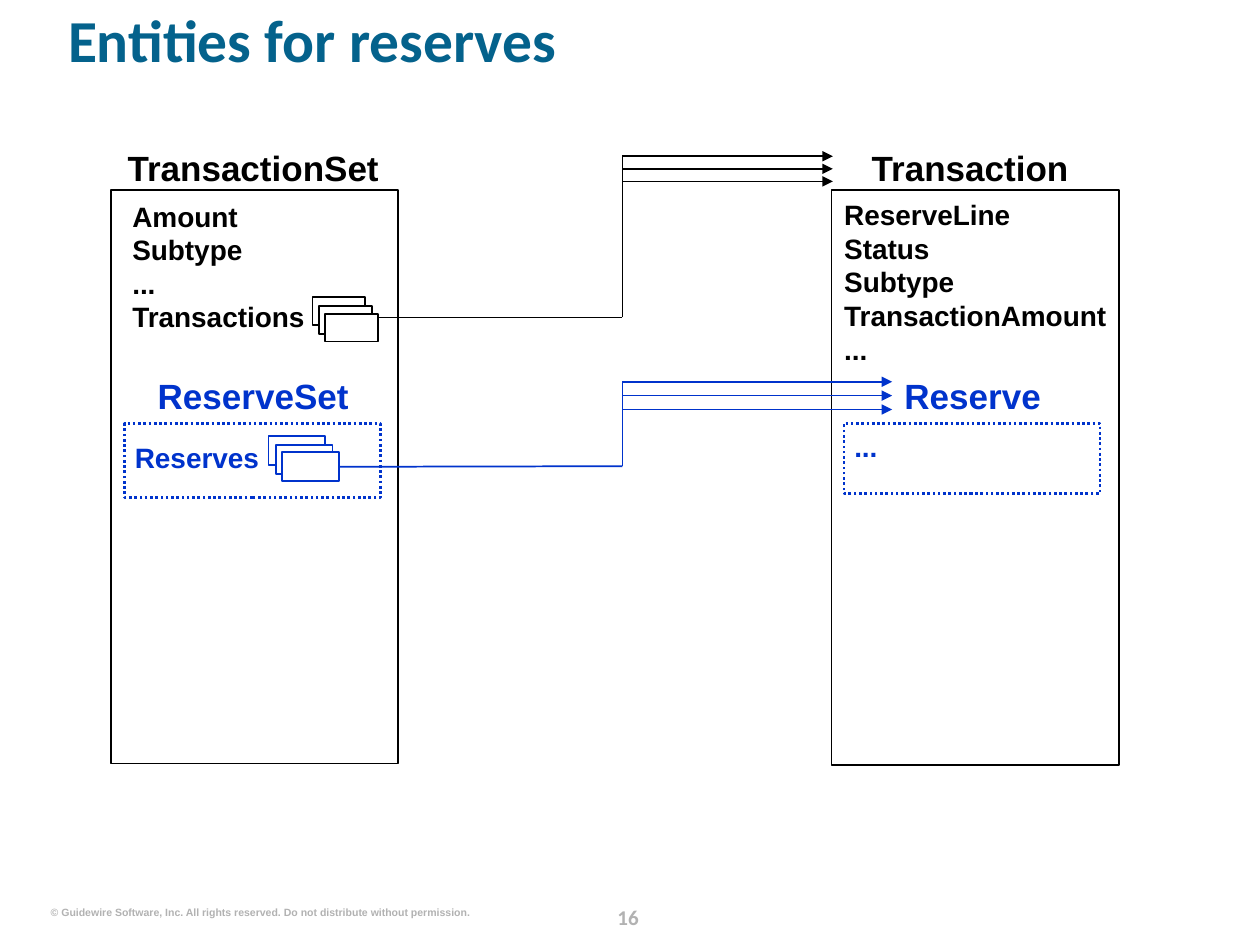
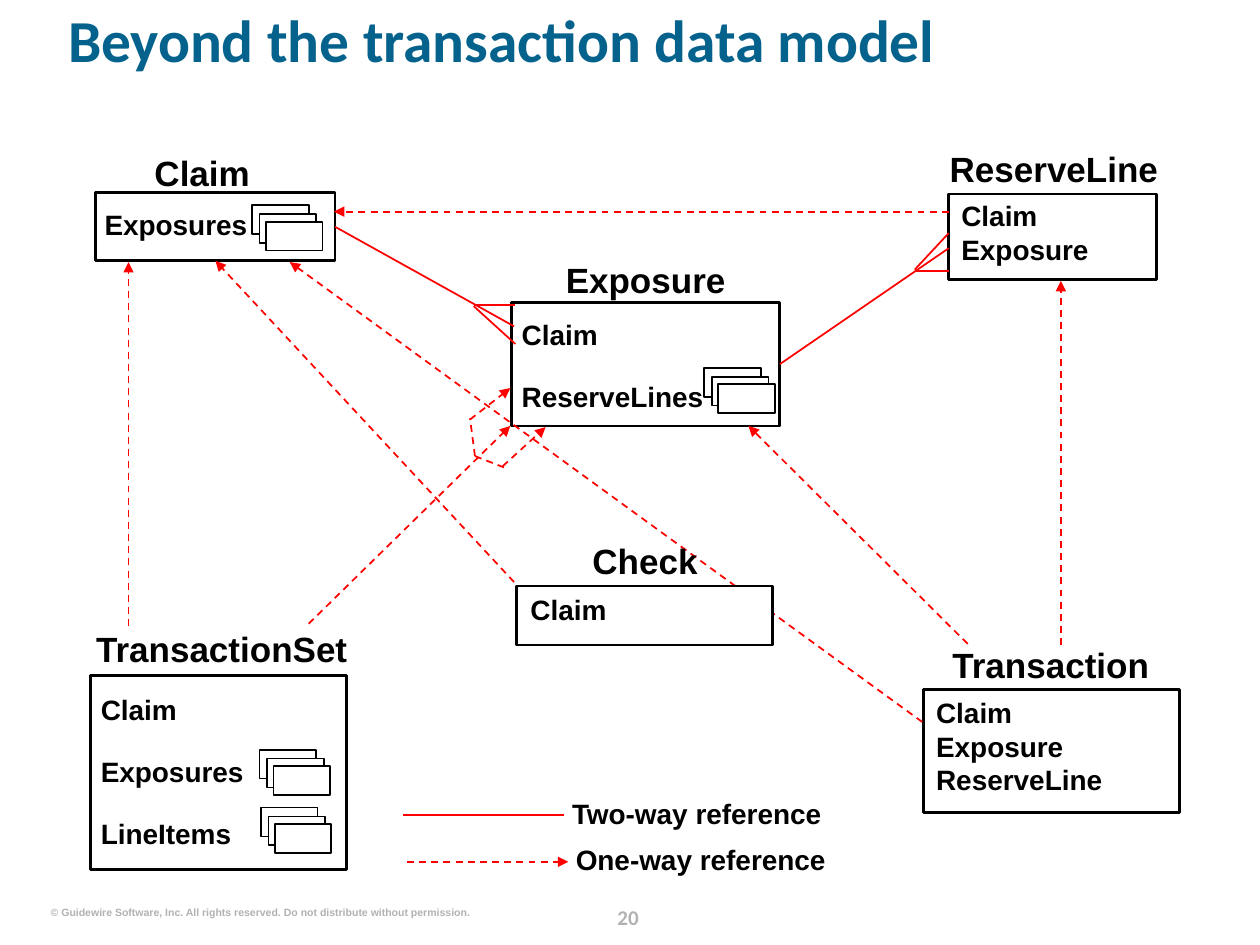
from lxml.etree import SubElement
from pptx import Presentation
from pptx.dml.color import RGBColor
from pptx.enum.dml import MSO_LINE as Dash
from pptx.enum.shapes import MSO_CONNECTOR as Link, MSO_SHAPE as Form
from pptx.enum.text import PP_ALIGN as Align
from pptx.oxml.ns import qn
from pptx.util import Pt

BLACK = RGBColor(0x00, 0x00, 0x00)
WHITE = RGBColor(0xFF, 0xFF, 0xFF)
BLUE = RGBColor(0x00, 0x33, 0xCC)
RED = RGBColor(0xFF, 0x00, 0x00)
TEAL = RGBColor(0x04, 0x62, 0x8C)
GRAY = RGBColor(0xB2, 0xB2, 0xB2)
SCALE = 9144
RIGHTS = ("© Guidewire Software, Inc. All rights reserved. "
          "Do not distribute without permission.")


def px(*sizes):
    """Turn px lengths into EMU."""
    return [size * SCALE for size in sizes]


def write(slide, box, paras, size, color=BLACK, face="Arial",
          align=Align.LEFT, wrap=True, lead=None):
    """Put bold paragraphs in a box without margins."""
    frame = slide.shapes.add_textbox(*px(*box)).text_frame
    frame.word_wrap = wrap
    frame.margin_left = frame.margin_top = 0
    frame.margin_right = frame.margin_bottom = 0
    for i, words in enumerate(paras):
        para = frame.add_paragraph() if i else frame.paragraphs[0]
        para.text = words
        para.alignment = align
        if i:
            para.space_before = Pt(16)
        if lead:
            para.line_spacing = lead
        font = para.font
        font.name, font.size, font.bold = face, Pt(size), True
        font.color.rgb = color


def block(slide, box, color=BLACK, width=1.0, fill=None, dash=None):
    """Draw an outlined rectangle."""
    rect = slide.shapes.add_shape(Form.RECTANGLE, *px(*box))
    rect.shadow.inherit = False
    if fill is None:
        rect.fill.background()
    else:
        rect.fill.solid()
        rect.fill.fore_color.rgb = fill
    rect.line.color.rgb = color
    rect.line.width = Pt(width)
    if dash:
        rect.line.dash_style = dash
    return rect


def pile(slide, box, shift, color=BLACK, size=(45, 23), spread=11):
    """Draw three stepped cards inside a box and return the front one."""
    left, top = box[0] + shift[0], box[1] + shift[1]
    for i in range(3):
        spot = (left + (spread * i + 1) // 2, top + (13 * i + 1) // 2)
        card = block(slide, (*spot, *size), color, fill=WHITE)
    return card


def entity(slide, box, name, cap, rows, pad, piles=(), color=BLACK, **style):
    """Draw an entity: its box, the name above, fields and piles inside."""
    left, top, wide, tall = box
    rect = block(slide, box, color, **style)
    write(slide, (left + cap[0], top + cap[1], cap[2], 33), [name], 20,
          color, align=Align.CENTER)
    write(slide, (left + pad[0], top + pad[1], wide - pad[0], tall - pad[1]),
          rows, 16, color, wrap=False)
    for shift in piles:
        pile(slide, box, shift, color)
    return rect


def wire(slide, start, end, color=RED, dash=False, arrow=False):
    """Draw a line between two ends, each a point or a (shape, site) pair."""
    free = [spot if isinstance(spot[0], int) else (0, 0)
            for spot in (start, end)]
    link = slide.shapes.add_connector(Link.STRAIGHT, *px(*free[0], *free[1]))
    if free[0] != start:
        link.begin_connect(*start)
    if free[1] != end:
        link.end_connect(*end)
    link.line.color.rgb = color
    link.line.width = Pt(1)
    if dash:
        link.line.dash_style = Dash.DASH
    prop = link._element.spPr
    if arrow:
        SubElement(prop.find(qn("a:ln")), qn("a:tailEnd"), type="triangle")
    SubElement(prop, qn("a:effectLst"))


def fan(slide, start, low, bend, tip, top, step, color):
    """Draw a line that bends up and splits into three arrows."""
    wire(slide, start, (bend, low), color)
    wire(slide, (bend, low), (bend, top), color)
    for i in range(3):
        tall = top + i * step
        wire(slide, (bend, tall), (tip, tall), color, arrow=True)


def base(deck, title, page):
    """Add a slide with title, copyright line and page number."""
    slide = deck.slides.add_slide(deck.slide_layouts[6])
    write(slide, (470, 713, 57, 25), [page], 12, GRAY, "Calibri",
          Align.CENTER, lead=Pt(18))
    write(slide, (40, 719, 333, 10), [RIGHTS], 6, GRAY, align=Align.RIGHT,
          wrap=False)
    write(slide, (54, 13, 910, 81), [title], 34, TEAL, "Calibri", lead=0.8)
    return slide


def reserves(deck):
    """Build the slide on the entities for reserves."""
    slide = base(deck, "Entities for reserves", "16")
    group = (88, 151, 228, 455)
    entity(slide, group, "TransactionSet", (6, -35, 214),
           ["Amount\nSubtype\n...\nTransactions"], (17, 7))
    entity(slide, (660, 151, 228, 456), "Transaction", (3, -35, 214),
           ["ReserveLine\nStatus\nSubtype\nTransactionAmount\n..."], (10, 6))
    dots = dict(color=BLUE, width=1.5, dash=Dash.ROUND_DOT)
    inner = (99, 336, 203, 59)
    entity(slide, inner, "ReserveSet", (10, -39, 184), ["Reserves"],
           (8, 14), **dots)
    entity(slide, (670, 336, 203, 56), "Reserve", (10, -39, 184), ["..."],
           (8, 5), **dots)
    pile(slide, group, (160, 85), size=(42, 22), spread=10)
    card = pile(slide, inner, (114, 10), BLUE)
    fan(slide, (card, 3), 370, 494, 708, 303, 11, BLUE)
    fan(slide, (301, 252), 252, 494, 661, 124, 10, BLACK)


def legend(slide, box):
    """Explain the two kinds of line."""
    left, top = box
    for i, name in enumerate(["Two-way reference", "One-way reference"]):
        x, y = left + 3 * i, top + 37 * i
        wire(slide, (x, y + 15), (x + 128, y + 15), dash=i > 0, arrow=i > 0)
        write(slide, (x + 134, y, 216, 27), [name], 16)


def model(deck):
    """Build the slide on what lies beyond the transaction model."""
    slide = base(deck, "Beyond the transaction data model", "20")
    entity(slide, (72, 536, 203, 154), "TransactionSet", (-3, -38, 214),
           ["Claim", "Exposures", "LineItems"], (8, 14),
           [(134, 59), (135, 105)], width=1.5)
    entity(slide, (733, 547, 203, 98), "Transaction", (-6, -36, 214),
           ["Claim\nExposure\nReserveLine"], (10, 5), width=1.5)
    claim = entity(slide, (76, 153, 190, 54), "Claim", (-7, -33, 183),
                   ["Exposures"], (7, 12), [(124, 10)], width=1.5)
    expo = entity(slide, (406, 240, 213, 98), "Exposure", (15, -35, 183),
                  ["Claim", "ReserveLines"], (8, 12), [(153, 52)], width=1.5)
    entity(slide, (753, 154, 165, 68), "ReserveLine", (-8, -37, 183),
           ["Claim\nExposure"], (10, 4), width=1.5)

    for start, end in [
        ((claim, 3), (408, 259)), ((376, 242), (409, 242)),
        ((376, 243), (409, 273)), ((expo, 3), (753, 197)),
        ((726, 214), (753, 185)), ((726, 215), (753, 215)),
    ]:
        wire(slide, start, end)
    for start, end in [
        ((753, 168), (265, 168)), ((102, 497), (102, 208)),
        ((245, 495), (405, 338)), ((408, 462), (claim, 2)),
        ((732, 573), (230, 208)), ((768, 511), (594, 338)),
        ((842, 512), (842, 223)), ((373, 333), (405, 308)),
        ((399, 370), (433, 339)),
    ]:
        wire(slide, start, end, dash=True, arrow=True)
    for end in [(373, 332), (400, 371)]:
        wire(slide, (377, 362), end, dash=True)
    entity(slide, (410, 465, 203, 47), "Check", (-5, -37, 214), ["Claim"],
           (11, 5), width=1.5, fill=WHITE)
    legend(slide, (320, 632))


def main():
    """Build and save the deck."""
    deck = Presentation()
    deck.slide_width, deck.slide_height = px(1000, 750)
    reserves(deck)
    model(deck)
    deck.save("out.pptx")


if __name__ == "__main__":
    main()
